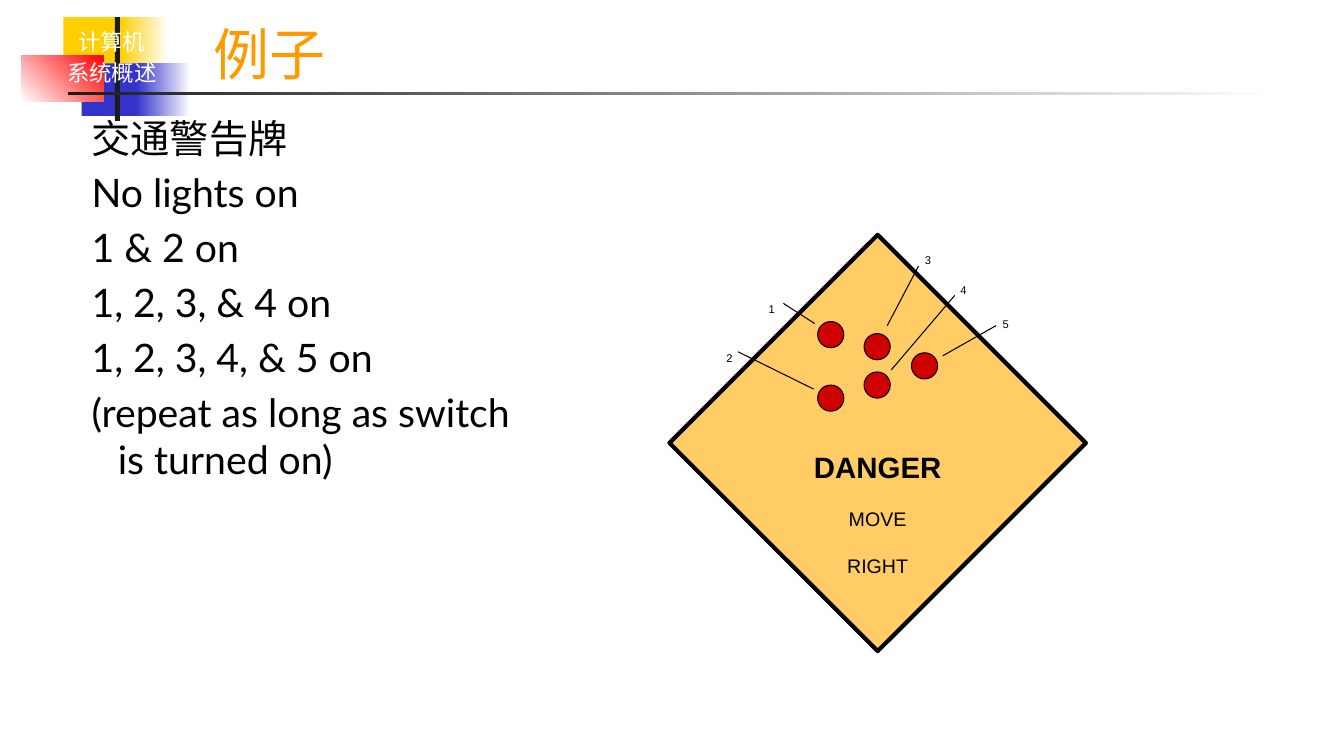
from pptx import Presentation
from pptx.dml.color import RGBColor
from pptx.enum.shapes import MSO_CONNECTOR, MSO_SHAPE
from pptx.enum.text import MSO_ANCHOR, PP_ALIGN
from pptx.oxml.ns import qn
from pptx.util import Inches, Pt

RECT, DIAMOND, OVAL = MSO_SHAPE.RECTANGLE, MSO_SHAPE.DIAMOND, MSO_SHAPE.OVAL
STRAIGHT = MSO_CONNECTOR.STRAIGHT
LEFT, CENTER = PP_ALIGN.LEFT, PP_ALIGN.CENTER
TOP, BOTTOM = MSO_ANCHOR.TOP, MSO_ANCHOR.BOTTOM
BLACK, WHITE, DARK = "000000", "FFFFFF", "1C1C1C"
YELLOW, BLUE, RED = "FFCF01", "3333CC", "FF0000"

STEPS = ["交通警告牌", "No lights on", "1 & 2 on", "1, 2, 3, & 4 on",
         "1, 2, 3, 4, & 5 on", "(repeat as long as switch\vis turned on)"]

# Lamp corner, number corner, line start and line end, from the sign's corner
LAMPS = [
    ((1.47, 0.86), (0.86, 0.49), (1.13, 0.68), (1.44, 0.88)),
    ((1.47, 1.49), (0.44, 0.98), (0.68, 1.16), (1.43, 1.53)),
    ((1.93, 0.98), (2.41, 0.01), (2.47, 0.31), (2.16, 0.90)),
    ((1.93, 1.36), (2.76, 0.30), (2.83, 0.60), (2.20, 1.34)),
    ((2.40, 1.17), (3.18, 0.64), (3.24, 0.90), (2.71, 1.20)),
]


def color(hex_text):
    return RGBColor.from_string(hex_text)


def add_shape(s, kind, x, y, w, h, fill, line_width=0):
    sp = s.shapes.add_shape(kind, Inches(x), Inches(y), Inches(w), Inches(h))
    sp.shadow.inherit = False
    if isinstance(fill, str):
        sp.fill.solid()
        sp.fill.fore_color.rgb = color(fill)
    else:
        start, end, angle = fill
        sp.fill.gradient()
        sp.fill.gradient_angle = angle
        for stop, stop_color in zip(sp.fill.gradient_stops, (start, end)):
            stop.color.rgb = color(stop_color)
    if line_width:
        sp.line.color.rgb = color(BLACK)
        sp.line.width = Pt(line_width)
    else:
        sp.line.fill.background()
    return sp


def add_line(s, x1, y1, x2, y2):
    line = s.shapes.add_connector(STRAIGHT, Inches(x1), Inches(y1),
                                  Inches(x2), Inches(y2))
    line.line.color.rgb = color(BLACK)
    line.line.width = Pt(0.75)
    sp_pr = line._element.spPr
    sp_pr.append(sp_pr.makeelement(qn("a:effectLst"), {}))


def add_text_box(s, x, y, w, h, anchor=TOP):
    box = s.shapes.add_textbox(Inches(x), Inches(y), Inches(w), Inches(h))
    tf = box.text_frame
    tf.word_wrap = True
    tf.vertical_anchor = anchor
    return tf


def add_run(p, text, size, hex_text=BLACK, font="Lato", bold=False):
    r = p.add_run()
    r.text = text
    r.font.name = font
    r.font.size = Pt(size)
    r.font.bold = bold
    r.font.color.rgb = color(hex_text)


def add_paragraphs(tf, texts, size, hex_text, align):
    """Fill a frame, with a fifth of the text size between paragraphs."""
    for i, text in enumerate(texts):
        p = tf.add_paragraph() if i else tf.paragraphs[0]
        p.alignment = align
        p.space_before = Pt(size * 0.2 if i else 0)
        for j, part in enumerate(text.split("\v")):
            if j:
                p.add_line_break()
            add_run(p, part, size, hex_text)
        yield p


def add_badge(s, x, y):
    blocks = [
        (0.42, 0, 0.64, 0.52, YELLOW),
        (0.98, 0, 0.48, 0.52, (YELLOW, WHITE, 0)),
        (0.60, 0.46, 0.62, 0.52, BLUE),
        (1.14, 0.46, 0.54, 0.52, (BLUE, WHITE, 0)),
        (0, 0.38, 0.82, 0.46, (WHITE, RED, 45)),
        (0.93, 0, 0.05, 1.03, DARK),
        (0.46, 0.74, 12, 0.03, (DARK, WHITE, 0)),
    ]
    for dx, dy, w, h, fill in blocks:
        add_shape(s, RECT, x + dx, y + dy, w, h, fill)
    tf = add_text_box(s, x + 0.12, y + 0.06, 1.56, 0.69)
    list(add_paragraphs(tf, ["计算机", "系统概述"], 16, WHITE, CENTER))


def set_title(s, text, x, y, w, h):
    title = s.shapes.title
    title.left, title.top = Inches(x), Inches(y)
    title.width, title.height = Inches(w), Inches(h)
    tf = title.text_frame
    tf.vertical_anchor = BOTTOM
    p = tf.paragraphs[0]
    p.alignment = LEFT
    add_run(p, text, 40, "FF9900")


def add_steps(s, x, y, w, h):
    tf = add_text_box(s, x, y, w, h)
    for p in add_paragraphs(tf, STEPS, 28, BLACK, LEFT):
        p_pr = p._p.get_or_add_pPr()
        p_pr.set("marL", str(Inches(0.63)))
        p_pr.set("indent", str(Inches(-0.26)))


def add_sign(s, x, y, size):
    add_shape(s, DIAMOND, x, y, size, size, "FFCC66", 3)
    tf = add_text_box(s, x + 0.88, y + 1.75, 2.37, 1.5)
    tf.margin_top = Inches(0.27)
    p = tf.paragraphs[0]
    p.alignment = CENTER
    p.line_spacing = Pt(33)
    add_run(p, "DANGER", 21, font="Arial", bold=True)
    for word in ("MOVE", "RIGHT"):
        p.add_line_break()
        add_run(p, word, 14, font="Arial")

    for number, (lamp, label, start, end) in enumerate(LAMPS, 1):
        add_shape(s, OVAL, x + lamp[0], y + lamp[1], 0.26, 0.26, "CE0000", 0.75)
        tf = add_text_box(s, x + label[0], y + label[1], 0.31, 0.33, BOTTOM)
        tf.margin_bottom = Inches(0.02)
        p = tf.paragraphs[0]
        p.alignment = CENTER
        add_run(p, str(number), 8, font="Arial")
        add_line(s, x + start[0], y + start[1], x + end[0], y + end[1])


def main():
    prs = Presentation()
    prs.slide_width, prs.slide_height = Inches(13.33), Inches(7.5)
    s = prs.slides.add_slide(prs.slide_layouts[5])
    add_badge(s, 0.21, 0.17)
    set_title(s, "例子", 2.02, 0.08, 10.74, 0.83)
    add_steps(s, 0.44, 1.08, 12.44, 6.08)
    add_sign(s, 6.64, 2.33, 4.13)
    prs.save("out.pptx")


if __name__ == "__main__":
    main()
